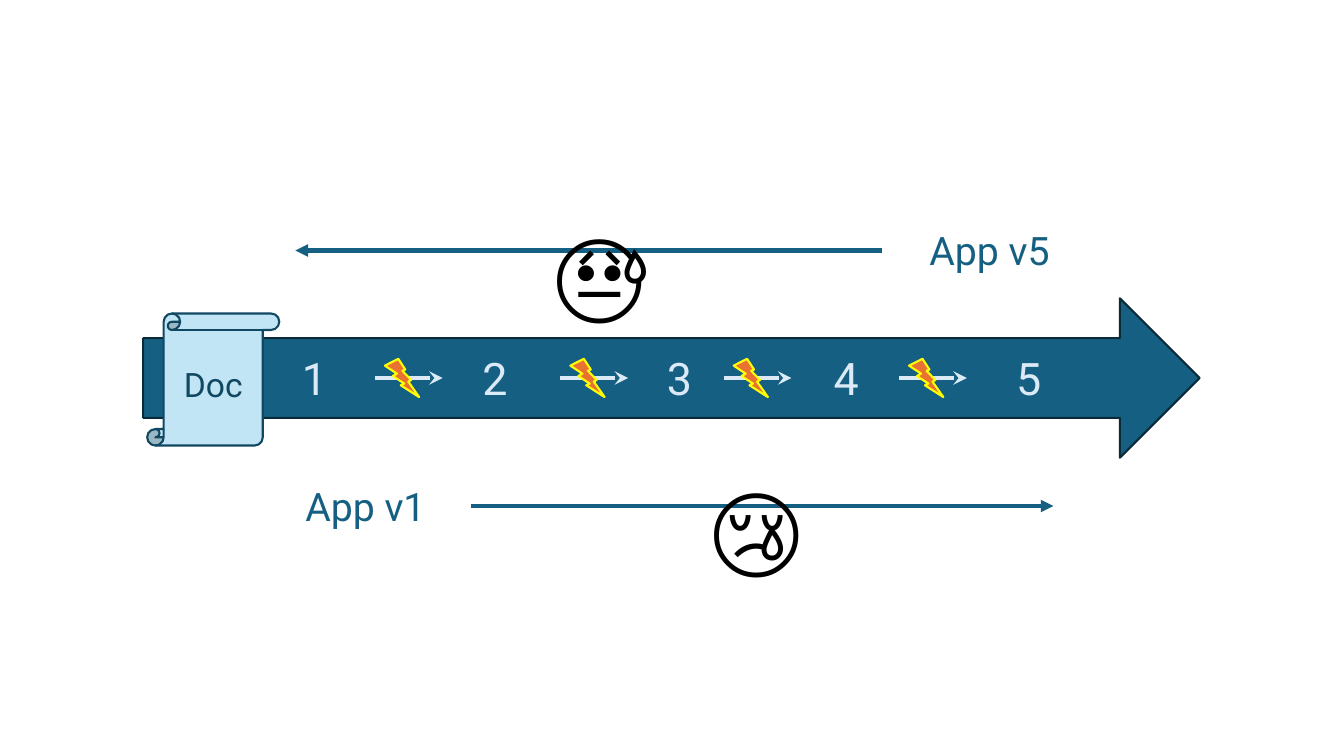
from dataclasses import dataclass

from lxml.etree import SubElement
from pptx import Presentation
from pptx.dml.color import RGBColor
from pptx.enum.shapes import MSO_CONNECTOR, MSO_SHAPE
from pptx.enum.text import MSO_ANCHOR, MSO_AUTO_SIZE, PP_ALIGN
from pptx.oxml.ns import qn
from pptx.util import Inches, Pt


@dataclass(frozen=True)
class Theme:
    blue: str = "156082"
    outline: str = "092A39"
    pale: str = "DCEAF7"
    paper: str = "C1E5F5"
    ink: str = "104862"
    orange: str = "E97132"
    yellow: str = "FFFF00"
    black: str = "000000"
    font: str = "Roboto"
    face_font: str = "Karla"
    number: int = 32
    label: int = 28
    document: int = 24
    face: int = 72
    border: float = 1.5
    reach: float = 3
    step: float = 3.25


THEME = Theme()

# Content: all places are percentages of the slide's width and height
TIMELINE = (10.65, 39.47, 78.6, 21.07)
DOCUMENT = ("Doc", (10.95, 41.47, 9.83, 17.47))
VERSIONS = [("1", 23.4), ("2", 36.83), ("3", 50.55), ("4", 62.96), ("5", 76.54)]
STEP_STARTS = [27.9, 41.7, 53.85, 66.9]
APPS = [  # label, label place, alignment, line start, line end, line height
    ("App v1", (21.98, 63.2, 11.18, 7.6), PP_ALIGN.LEFT, 35.03, 78.38, 66.93),
    ("App v5", (66.9, 29.33, 11.93, 7.6), PP_ALIGN.RIGHT, 65.63, 21.98, 33.13),
]
FACES = [("😢", (52.13, 60.67)), ("😓", (40.43, 27.07))]

MIDDLE = 50
NUMBER_SIZE = (3.6, 8.53)
STEP_LENGTH = 5.04
BOLT_OFFSET = 0.74
BOLT_SIZE = (2.55, 5.07)
FACE_SIZE = (9.08, 17.47)

deck = Presentation()
deck.slide_width, deck.slide_height = Inches(13.333), Inches(7.5)
page = deck.slides.add_slide(deck.slide_layouts[6])


def across(share):
    return round(deck.slide_width * share / 100)


def down(share):
    return round(deck.slide_height * share / 100)


def place(left, top, width, height):
    return across(left), down(top), across(width), down(height)


def centred(left, size):
    return left, MIDDLE - size[1] / 2, *size


def write(box, text, size, color, font=THEME.font, align=PP_ALIGN.CENTER):
    para = box.text_frame.paragraphs[0]
    para.text, para.alignment = text, align
    para.font.name, para.font.size = font, Pt(size)
    para.font.color.rgb = RGBColor.from_string(color)


def add_text(area, *style, **options):
    box = page.shapes.add_textbox(*place(*area))
    box.text_frame.word_wrap = False
    box.text_frame.auto_size = MSO_AUTO_SIZE.SHAPE_TO_FIT_TEXT
    write(box, *style, **options)


def add_shape(kind, area, fill, line):
    shape = page.shapes.add_shape(kind, *place(*area))
    shape.shadow.inherit = False
    shape.fill.solid()
    shape.fill.fore_color.rgb = RGBColor.from_string(fill)
    shape.line.color.rgb = RGBColor.from_string(line)
    shape.line.width = Pt(THEME.border)
    return shape


def add_arrow(start, end, height, color, width, head):
    arrow = page.shapes.add_connector(
        MSO_CONNECTOR.STRAIGHT, across(start), down(height), across(end), down(height))
    arrow.line.color.rgb = RGBColor.from_string(color)
    arrow.line.width = Pt(width)
    SubElement(arrow.line._get_or_add_ln(), qn("a:tailEnd"), type=head)
    SubElement(arrow._element.spPr, qn("a:effectLst"))


# Timeline with its version numbers
add_shape(MSO_SHAPE.RIGHT_ARROW, TIMELINE, THEME.blue, THEME.outline)
for number, centre in VERSIONS:
    area = centred(centre - NUMBER_SIZE[0] / 2, NUMBER_SIZE)
    add_text(area, number, THEME.number, THEME.pale)

# Breaking steps between versions
for start in STEP_STARTS:
    add_arrow(start, start + STEP_LENGTH, MIDDLE, THEME.pale, THEME.step, "stealth")
    add_shape(MSO_SHAPE.LIGHTNING_BOLT, centred(start + BOLT_OFFSET, BOLT_SIZE),
              THEME.orange, THEME.yellow)

# Apps and the versions they reach
for label, area, align, start, end, height in APPS:
    add_text(area, label, THEME.label, THEME.blue, align=align)
    add_arrow(start, end, height, THEME.blue, THEME.reach, "triangle")

# Document scroll
title, area = DOCUMENT
scroll = add_shape(MSO_SHAPE.VERTICAL_SCROLL, area, THEME.paper, THEME.ink)
scroll.text_frame.vertical_anchor = MSO_ANCHOR.MIDDLE
write(scroll, title, THEME.document, THEME.ink)

# Reactions
for face, corner in FACES:
    add_text((*corner, *FACE_SIZE), face, THEME.face, THEME.black,
             font=THEME.face_font, align=PP_ALIGN.LEFT)

deck.save("out.pptx")
